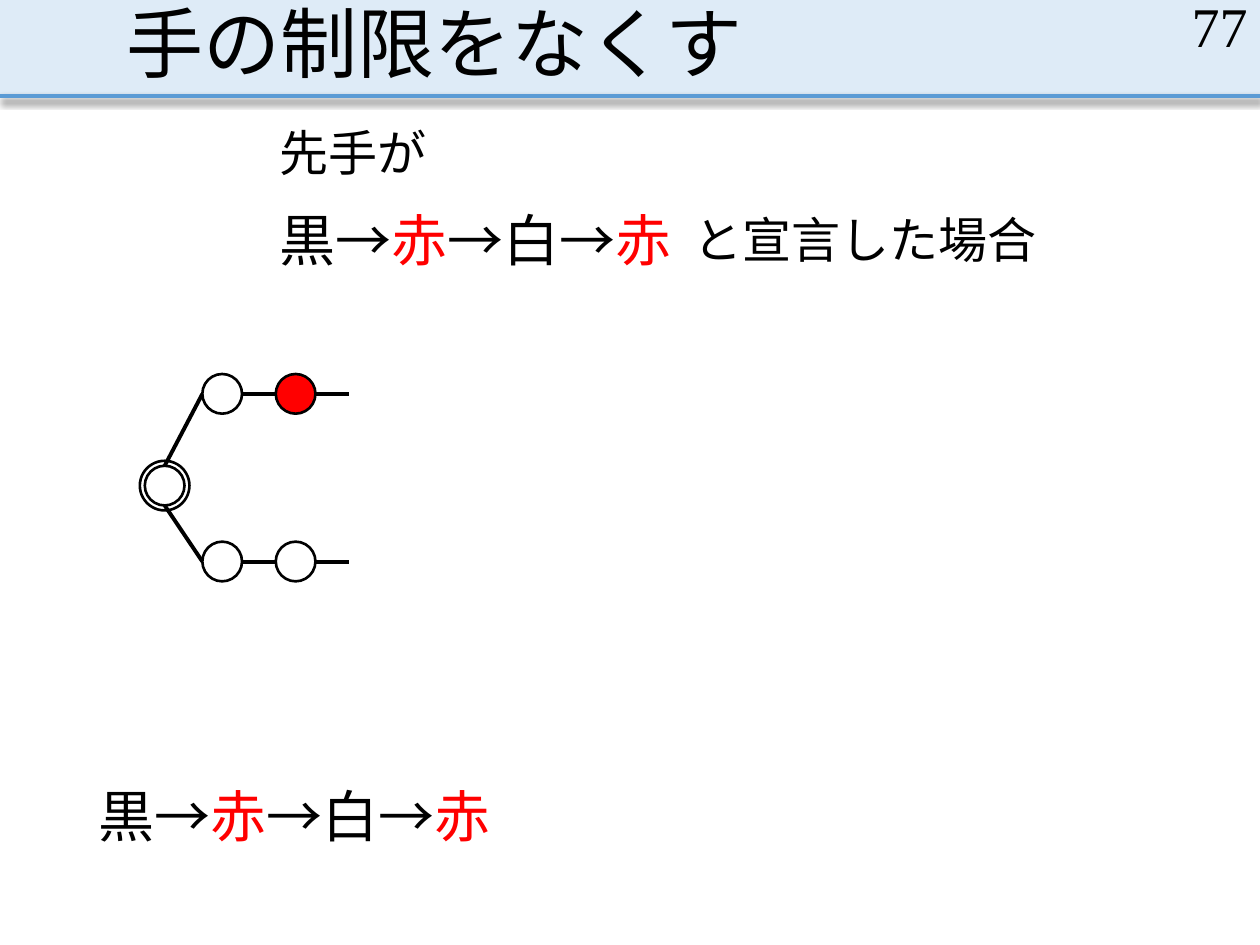
"""Build the slide on removing the move restriction in the colouring game."""
from lxml import etree
from pptx import Presentation
from pptx.dml.color import RGBColor
from pptx.enum import shapes, text
from pptx.oxml import parse_xml
from pptx.oxml.ns import nsdecls, qn
from pptx.util import Cm, Pt

BLACK = RGBColor(0x00, 0x00, 0x00)
WHITE = RGBColor(0xFF, 0xFF, 0xFF)
RED = RGBColor(0xFF, 0x00, 0x00)
PALE_BLUE = RGBColor(0xDE, 0xEB, 0xF7)
BLUE = RGBColor(0x5B, 0x9B, 0xD5)
FONT = "Times New Roman"

WIDTH, HEADER_HEIGHT = 25.4, 1.93
NODE, RING = 0.8, 1.0
ROOT_X, ROOT_Y = 3.32, 9.79
BRANCH_X, BRANCH_STEP = 4.48, 1.48
BRANCHES = [(7.94, (WHITE, RED)), (11.32, (WHITE, WHITE))]
MOVES = [("黒→", BLACK), ("赤", RED), ("→白→", BLACK), ("赤", RED)]


def add_line(slide, start, end, color=BLACK):
    """Draw a straight line without a shadow and return it."""
    line = slide.shapes.add_connector(
        shapes.MSO_CONNECTOR.STRAIGHT, *(Cm(value) for value in start + end))
    line.line.color.rgb = color
    line.line.width = Pt(2.25)
    etree.SubElement(line.element.spPr, qn("a:effectLst"))
    return line


def add_node(slide, x, y, diameter=NODE, fill=None):
    """Draw an outlined circle centred on a point."""
    node = slide.shapes.add_shape(
        shapes.MSO_SHAPE.OVAL, Cm(x - diameter / 2), Cm(y - diameter / 2),
        Cm(diameter), Cm(diameter))
    node.shadow.inherit = False
    if fill is None:
        node.fill.background()
    else:
        node.fill.solid()
        node.fill.fore_color.rgb = fill
    node.line.color.rgb = BLACK
    node.line.width = Pt(1.5)


def add_text(slide, box, runs, size, align=text.PP_ALIGN.LEFT):
    """Add a text box made of coloured runs."""
    shape = slide.shapes.add_textbox(*(Cm(value) for value in box))
    frame = shape.text_frame
    frame.word_wrap = True
    frame.vertical_anchor = text.MSO_ANCHOR.MIDDLE
    paragraph = frame.paragraphs[0]
    paragraph.alignment = align
    paragraph.font.name = FONT
    paragraph.font.size = Pt(size)
    for words, color in runs:
        run = paragraph.add_run()
        run.text = words
        run.font.color.rgb = color


def add_header(slide):
    """Draw the header band and its shadowed rule."""
    band = slide.shapes.add_shape(
        shapes.MSO_SHAPE.RECTANGLE, 0, 0, Cm(WIDTH), Cm(HEADER_HEIGHT))
    band.shadow.inherit = False
    band.fill.solid()
    band.fill.fore_color.rgb = PALE_BLUE
    band.line.fill.background()
    rule = add_line(slide, (0, HEADER_HEIGHT), (WIDTH, HEADER_HEIGHT), BLUE)
    rule.element.spPr.find(qn("a:effectLst")).append(parse_xml(
        f'<a:outerShdw {nsdecls("a")} blurRad="{Pt(4)}" dist="{Pt(2.5)}" '
        'dir="5400000" algn="t" rotWithShape="0"><a:srgbClr val="000000">'
        '<a:alpha val="47000"/></a:srgbClr></a:outerShdw>'))


def set_title(slide, words):
    """Place and format the title in front of the header band."""
    title = slide.shapes.title
    title.left, title.top = Cm(2.29), Cm(0)
    title.width, title.height = Cm(20.95), Cm(HEADER_HEIGHT)
    frame = title.text_frame
    frame.text = words
    frame.vertical_anchor = text.MSO_ANCHOR.BOTTOM
    paragraph = frame.paragraphs[0]
    paragraph.alignment = text.PP_ALIGN.LEFT
    paragraph.line_spacing = 0.9
    paragraph.font.name = FONT
    paragraph.font.size = Pt(44)
    paragraph.font.color.rgb = BLACK
    title.element.getparent().append(title.element)


def add_tree(slide):
    """Draw the ringed root and its two branches."""
    radius = NODE / 2
    add_node(slide, ROOT_X, ROOT_Y, RING)
    add_node(slide, ROOT_X, ROOT_Y, fill=WHITE)
    for y, fills in BRANCHES:
        side = radius if y > ROOT_Y else -radius
        add_line(slide, (ROOT_X, ROOT_Y + side), (BRANCH_X - radius, y))
        for index, fill in enumerate(fills):
            x = BRANCH_X + index * BRANCH_STEP
            add_node(slide, x, y, fill=fill)
            add_line(slide, (x + radius, y), (x + BRANCH_STEP - radius, y))


def main():
    """Assemble and save the slide."""
    presentation = Presentation()
    presentation.slide_width, presentation.slide_height = Cm(WIDTH), Cm(19.05)
    slide = presentation.slides.add_slide(presentation.slide_layouts[5])
    add_header(slide)
    set_title(slide, "手の制限をなくす")
    add_text(slide, (19.69, 0, 5.71, 1.02), [("77", BLACK)], 32,
             text.PP_ALIGN.RIGHT)
    add_tree(slide)
    add_text(slide, (5.38, 2.34, 3.5, 1.45), [("先手が", BLACK)], 28)
    add_text(slide, (5.38, 4.01, 8.46, 1.63), MOVES, 32)
    add_text(slide, (13.74, 4.09, 7.6, 1.45), [("と宣言した場合", BLACK)], 28)
    add_text(slide, (1.73, 15.62, 8.46, 1.63), MOVES, 32)
    presentation.save("out.pptx")


if __name__ == "__main__":
    main()
